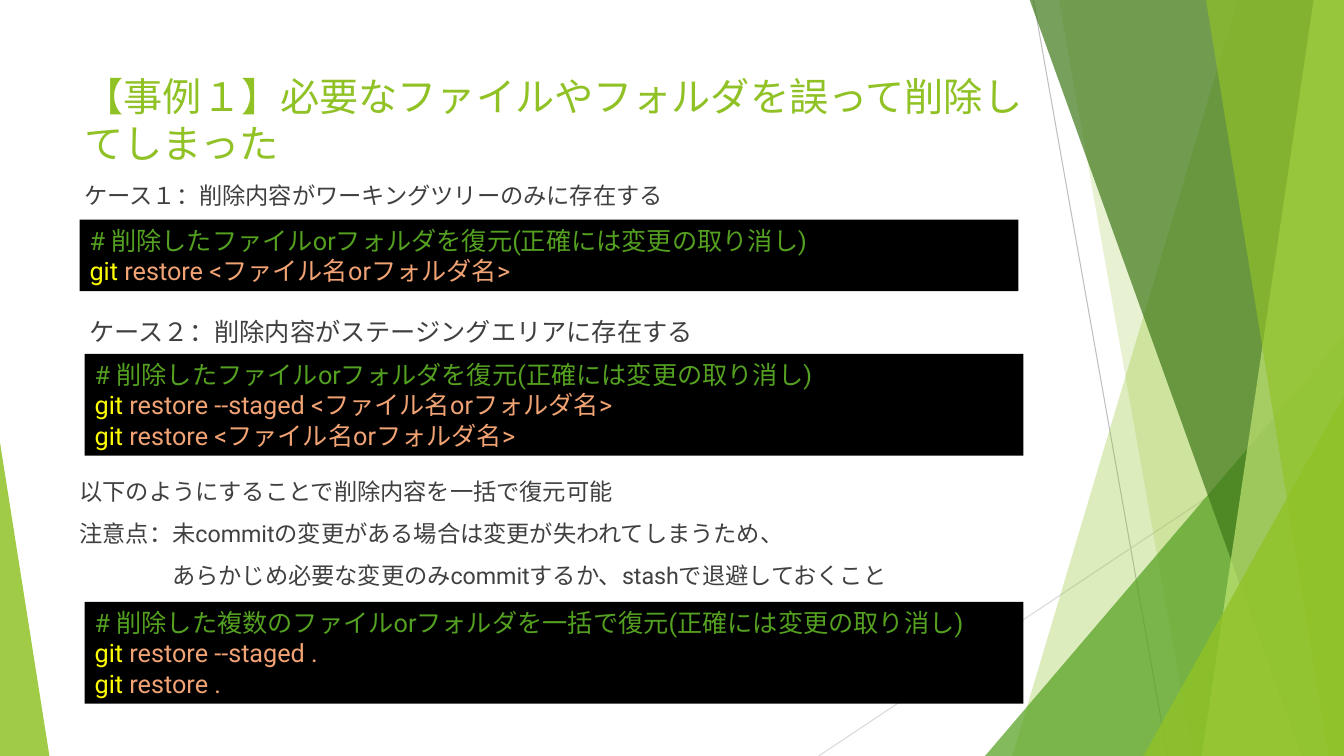
from lxml import etree
from pptx import Presentation
from pptx.dml.color import RGBColor
from pptx.enum.shapes import MSO_CONNECTOR, MSO_SHAPE
from pptx.enum.text import MSO_ANCHOR, PP_ALIGN
from pptx.oxml.ns import qn
from pptx.util import Inches, Pt

STRAIGHT = MSO_CONNECTOR.STRAIGHT
RECTANGLE = MSO_SHAPE.RECTANGLE
TRIANGLE = MSO_SHAPE.ISOSCELES_TRIANGLE
TOP, MIDDLE = MSO_ANCHOR.TOP, MSO_ANCHOR.MIDDLE
LEFT = PP_ALIGN.LEFT

LIME = RGBColor(0x90, 0xC2, 0x26)
GREEN = RGBColor(0x54, 0xA0, 0x21)
DARK_GREEN = RGBColor(0x3F, 0x78, 0x19)
PALE_LIME = RGBColor(0xC0, 0xE4, 0x74)
BLACK = RGBColor(0x00, 0x00, 0x00)
TEXT_GRAY = RGBColor(0x40, 0x40, 0x40)
YELLOW = RGBColor(0xFF, 0xFF, 0x00)
ORANGE = RGBColor(0xF1, 0xA3, 0x74)
LINE_GRAY = RGBColor(0xBF, 0xBF, 0xBF)
LIGHT_GRAY = RGBColor(0xD9, 0xD9, 0xD9)

FONT = "Roboto"
WIDTH, HEIGHT = 13.33, 7.5
BLEED = -0.01


def paint(shape, color, opacity=100):
    shape.shadow.inherit = False
    shape.line.fill.background()
    shape.fill.solid()
    shape.fill.fore_color.rgb = color
    if opacity < 100:
        color_element = shape.fill._xPr.find(qn("a:solidFill"))[0]
        etree.SubElement(color_element, qn("a:alpha"), val=str(opacity * 1000))


def write(shape, lines, size, anchor=TOP, space_before=0):
    """Each line is a list of (text, color) runs."""
    text_frame = shape.text_frame
    text_frame.word_wrap = True
    text_frame.vertical_anchor = anchor
    for index, line in enumerate(lines):
        paragraph = text_frame.paragraphs[0] if index == 0 else text_frame.add_paragraph()
        paragraph.alignment = LEFT
        paragraph.space_before = Pt(space_before)
        for text, color in line:
            run = paragraph.add_run()
            run.text = text
            run.font.size = Pt(size)
            run.font.name = FONT
            run.font.color.rgb = color
            etree.SubElement(run.font._element, qn("a:ea"), typeface=FONT)


presentation = Presentation()
presentation.slide_width = Inches(WIDTH)
presentation.slide_height = Inches(HEIGHT)
slide = presentation.slides.add_slide(presentation.slide_layouts[6])
shapes = slide.shapes

# Thin background lines
for x1, y1, x2, y2, color in [
    (10.25, 0, 11.58, HEIGHT, LINE_GRAY),
    (WIDTH, 4.03, 8.12, HEIGHT, LIGHT_GRAY),
]:
    line = shapes.add_connector(STRAIGHT, Inches(x1), Inches(y1), Inches(x2), Inches(y2))
    line.line.color.rgb = color
    line.line.width = Pt(0.75)
    etree.SubElement(line._element.spPr, qn("a:effectLst"))

# Translucent facets: bands (top x, bottom x) reach the right edge,
# triangles (left, top, width, apex position) reach the bottom edge
facets = [
    ((12.28, 10.04), LIME, 30),
    ((10.5, 11.83), LIME, 20),
    ((9.77, 3.33, 3.56, 1), GREEN, 72),
    ((10.21, 12.91), DARK_GREEN, 70),
    ((13.03, 11.92), PALE_LIME, 70),
    ((11.96, 13.18), LIME, 65),
    ((11.34, 3.93, 1.99, 1), LIME, 80),
    ((0, 4.39, 0.49, 0), LIME, 85),
]
for geometry, color, opacity in facets:
    if len(geometry) == 2:
        top_x, bottom_x = geometry
        builder = shapes.build_freeform(Inches(top_x), Inches(BLEED))
        corners = [(WIDTH, BLEED), (WIDTH, HEIGHT), (bottom_x, HEIGHT)]
        builder.add_line_segments([(Inches(x), Inches(y)) for x, y in corners])
        facet = builder.convert_to_shape()
    else:
        left, top, width, apex = geometry
        facet = shapes.add_shape(
            TRIANGLE, Inches(left), Inches(top), Inches(width), Inches(HEIGHT - top)
        )
        facet.adjustments[0] = apex
    paint(facet, color, opacity)

# Title and explanations
texts = [
    (0.74, 0.67, 9.79, 1.44, 28, LIME, ["【事例１】必要なファイルやフォルダを誤って削除してしまった"]),
    (0.74, 1.75, 9.4, 0.36, 16.6, TEXT_GRAY, ["ケース１：削除内容がワーキングツリーのみに存在する"]),
    (0.79, 3.09, 9.4, 0.46, 18, TEXT_GRAY, ["ケース２：削除内容がステージングエリアに存在する"]),
    (0.69, 4.69, 9.4, 1.18, 16.6, TEXT_GRAY, [
        "以下のようにすることで削除内容を一括で復元可能",
        "注意点：未commitの変更がある場合は変更が失われてしまうため、",
        "あらかじめ必要な変更のみcommitするか、stashで退避しておくこと",
    ]),
]
for left, top, width, height, size, color, lines in texts:
    box = shapes.add_textbox(Inches(left), Inches(top), Inches(width), Inches(height))
    write(box, [[(line, color)] for line in lines], size, space_before=10)

# The last line of the note hangs under the text after its label
note_end = box.text_frame.paragraphs[-1]
note_end._p.get_or_add_pPr().set("marL", str(Inches(0.92)))

# Command blocks
RESTORE_COMMENT = "# 削除したファイルorフォルダを復元(正確には変更の取り消し)"
RESTORE_ALL_COMMENT = "# 削除した複数のファイルorフォルダを一括で復元(正確には変更の取り消し)"
TARGET = "<ファイル名orフォルダ名>"
blocks = [
    (0.79, 2.18, 0.71, RESTORE_COMMENT, [f" restore {TARGET}"]),
    (0.84, 3.51, 1.01, RESTORE_COMMENT, [f" restore --staged {TARGET}", f" restore {TARGET}"]),
    (0.84, 5.97, 1.01, RESTORE_ALL_COMMENT, [" restore --staged .", " restore ."]),
]
for left, top, height, comment, commands in blocks:
    block = shapes.add_shape(RECTANGLE, Inches(left), Inches(top), Inches(9.31), Inches(height))
    paint(block, BLACK)
    lines = [[(comment, GREEN)]]
    lines += [[("git", YELLOW), (command, ORANGE)] for command in commands]
    write(block, lines, 18, MIDDLE)

presentation.save("out.pptx")
